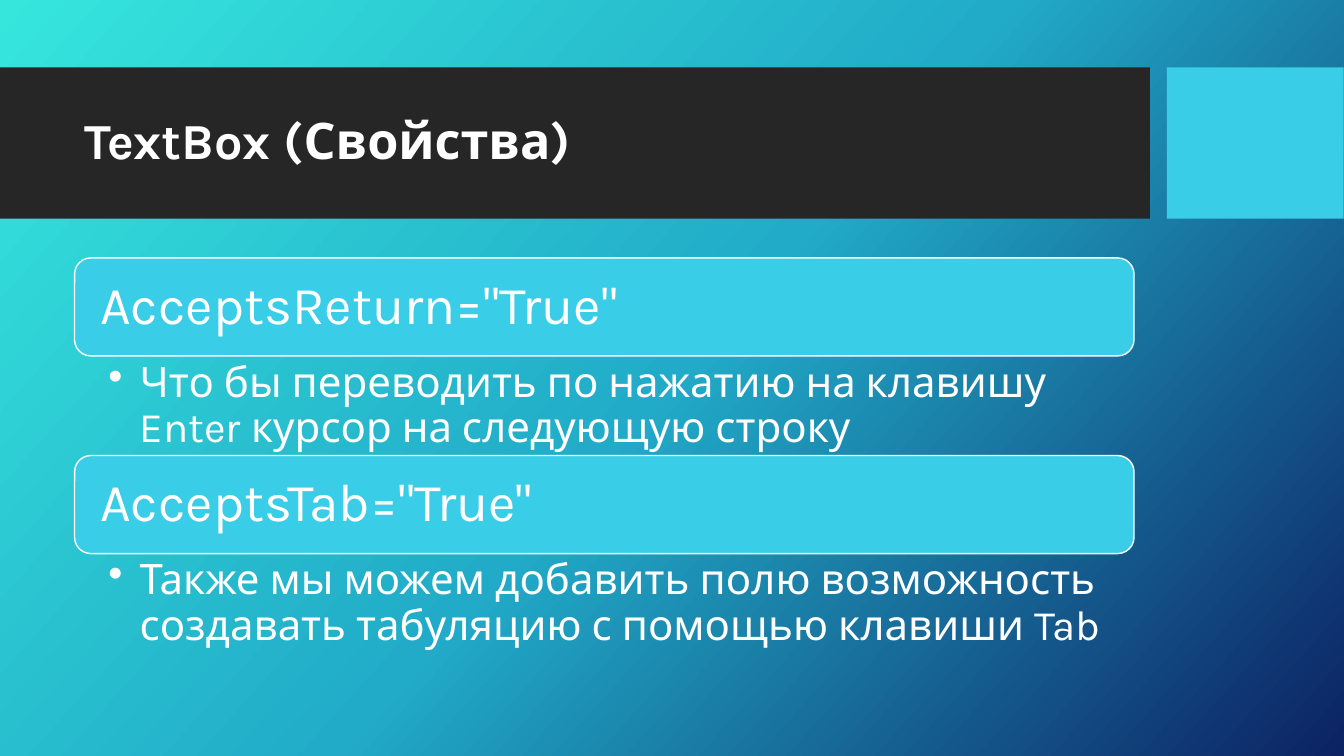
from copy import deepcopy
from dataclasses import dataclass

from lxml import etree
from pptx import Presentation
from pptx.dml.color import RGBColor
from pptx.enum.shapes import MSO_SHAPE
from pptx.enum.text import MSO_ANCHOR, PP_ALIGN
from pptx.oxml.ns import qn
from pptx.util import Cm, Pt

RECTANGLE = MSO_SHAPE.RECTANGLE
ROUNDED = MSO_SHAPE.ROUNDED_RECTANGLE
TOP, MIDDLE = MSO_ANCHOR.TOP, MSO_ANCHOR.MIDDLE
LEFT = PP_ALIGN.LEFT

FONT = "Karla"
COLORS = {"band": "262626", "accent": "39CDE7", "text": "FFFFFF"}
GRADIENT = {0: "36E6DD", 0.5: "21ABC8", 1: "0C2263"}
GRADIENT_ANGLE = 318

BAND_TOP, BAND_HEIGHT = 1.7, 3.81
LIST_LEFT, LIST_TOP, LIST_WIDTH = 1.88, 6.5, 26.7
PANEL_HEIGHT, DESCRIPTION_HEIGHT = 2.47, 2.51
BULLET_INDENT = 0.79


@dataclass
class Box:
    left: float
    top: float
    width: float
    height: float


@dataclass
class TextStyle:
    size: int
    inset_left: float
    inset_right: float
    inset_vertical: float
    anchor: MSO_ANCHOR = MIDDLE
    bold: bool = False


@dataclass
class Property:
    markup: str
    description: str


TITLE_STYLE = TextStyle(36, 2.13, 0.25, 0.13, bold=True)
PANEL_STYLE = TextStyle(38, 0.53, 0.53, 0.53)
DESCRIPTION_STYLE = TextStyle(30, 0.85, 0.76, 0.13, anchor=TOP)

PROPERTIES = [
    Property('AcceptsReturn="True"',
             "Что бы переводить по нажатию на клавишу Enter курсор на следующую строку"),
    Property('AcceptsTab="True"',
             "Также мы можем добавить полю возможность создавать табуляцию с помощью клавиши Tab"),
]


def set_attributes(target, values: dict) -> None:
    for name, value in values.items():
        setattr(target, name, value)


def lengths(box: Box) -> list:
    return [Cm(value) for value in (box.left, box.top, box.width, box.height)]


def paint_background(slide) -> None:
    fill = slide.background.fill
    fill.gradient()
    fill.gradient_angle = GRADIENT_ANGLE
    first_stop = slide.element.xpath(".//a:gsLst/a:gs")[0]
    first_stop.addnext(deepcopy(first_stop))
    for stop, (position, color) in zip(fill.gradient_stops, GRADIENT.items()):
        stop.position = position
        stop.color.rgb = RGBColor.from_string(color)


def add_block(slide, kind: MSO_SHAPE, box: Box, color: str, outlined: bool = False):
    shape = slide.shapes.add_shape(kind, *lengths(box))
    shape.shadow.inherit = False
    shape.fill.solid()
    shape.fill.fore_color.rgb = RGBColor.from_string(COLORS[color])
    if outlined:
        shape.line.color.rgb = RGBColor.from_string(COLORS["text"])
        shape.line.width = Pt(1)
    else:
        shape.line.fill.background()
    return shape


def write_text(shape, text: str, style: TextStyle):
    set_attributes(shape.text_frame, {
        "word_wrap": True,
        "vertical_anchor": style.anchor,
        "margin_left": Cm(style.inset_left),
        "margin_right": Cm(style.inset_right),
        "margin_top": Cm(style.inset_vertical),
        "margin_bottom": Cm(style.inset_vertical),
    })
    paragraph = shape.text_frame.paragraphs[0]
    set_attributes(paragraph, {"alignment": LEFT, "line_spacing": 0.9})
    run = paragraph.add_run()
    run.text = text
    set_attributes(run.font, {"name": FONT, "size": Pt(style.size), "bold": style.bold})
    run.font.color.rgb = RGBColor.from_string(COLORS["text"])
    return paragraph


def add_bullet(paragraph) -> None:
    properties = paragraph._p.get_or_add_pPr()
    properties.set("marL", str(Cm(BULLET_INDENT)))
    properties.set("indent", str(-Cm(BULLET_INDENT)))
    etree.SubElement(properties, qn("a:buChar")).set("char", "•")


def add_property(slide, item: Property, top: float) -> None:
    panel_box = Box(LIST_LEFT, top, LIST_WIDTH, PANEL_HEIGHT)
    panel = add_block(slide, ROUNDED, panel_box, "accent", outlined=True)
    write_text(panel, item.markup, PANEL_STYLE)
    description_box = Box(LIST_LEFT, top + PANEL_HEIGHT, LIST_WIDTH, DESCRIPTION_HEIGHT)
    description = slide.shapes.add_textbox(*lengths(description_box))
    add_bullet(write_text(description, item.description, DESCRIPTION_STYLE))


presentation = Presentation()
presentation.slide_width, presentation.slide_height = Cm(33.87), Cm(19.05)
slide = presentation.slides.add_slide(presentation.slide_layouts[6])

paint_background(slide)
title_band = add_block(slide, RECTANGLE, Box(0, BAND_TOP, 28.98, BAND_HEIGHT), "band")
write_text(title_band, "TextBox (Свойства)", TITLE_STYLE)
add_block(slide, RECTANGLE, Box(29.41, BAND_TOP, 4.45, BAND_HEIGHT), "accent")

for index, item in enumerate(PROPERTIES):
    add_property(slide, item, LIST_TOP + index * (PANEL_HEIGHT + DESCRIPTION_HEIGHT))

presentation.save("out.pptx")
